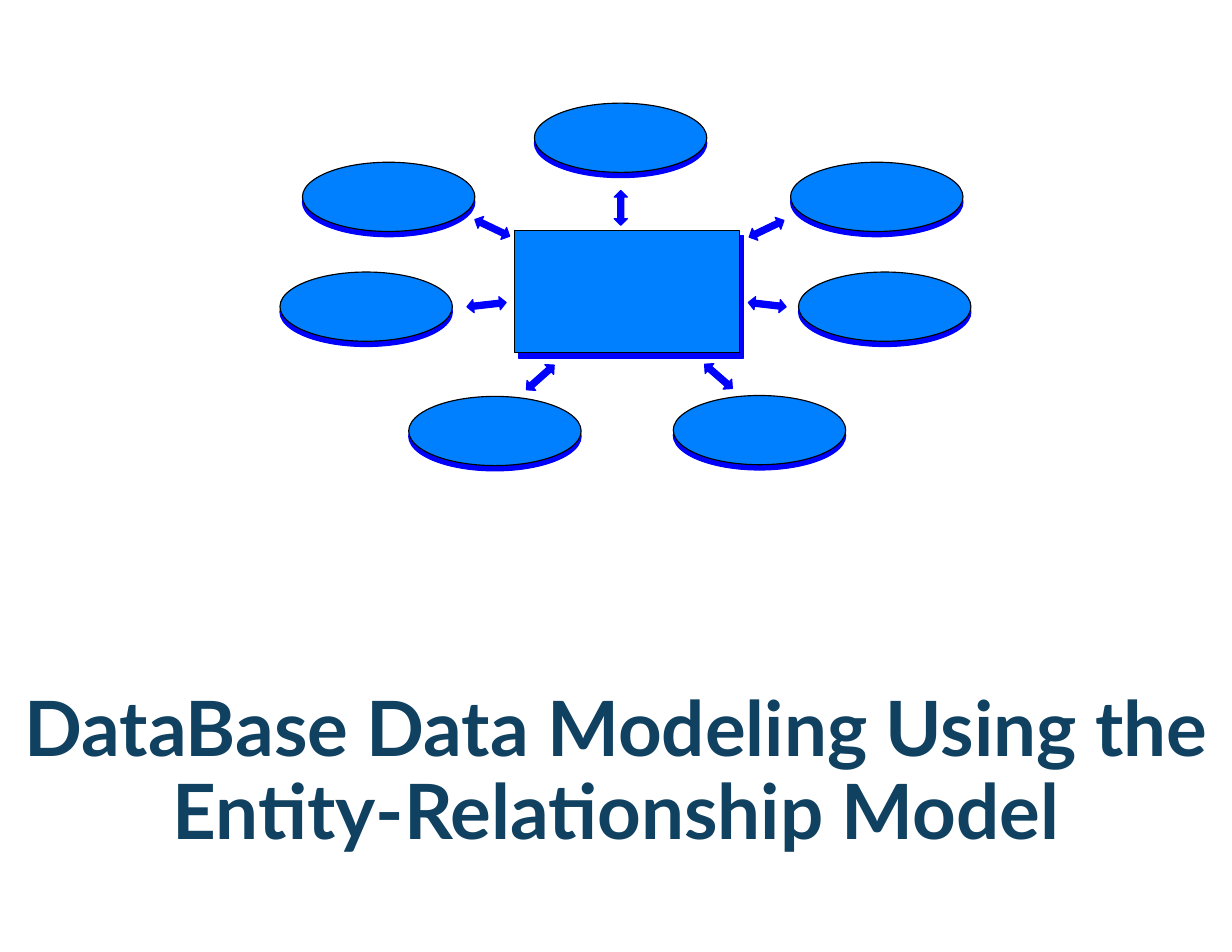
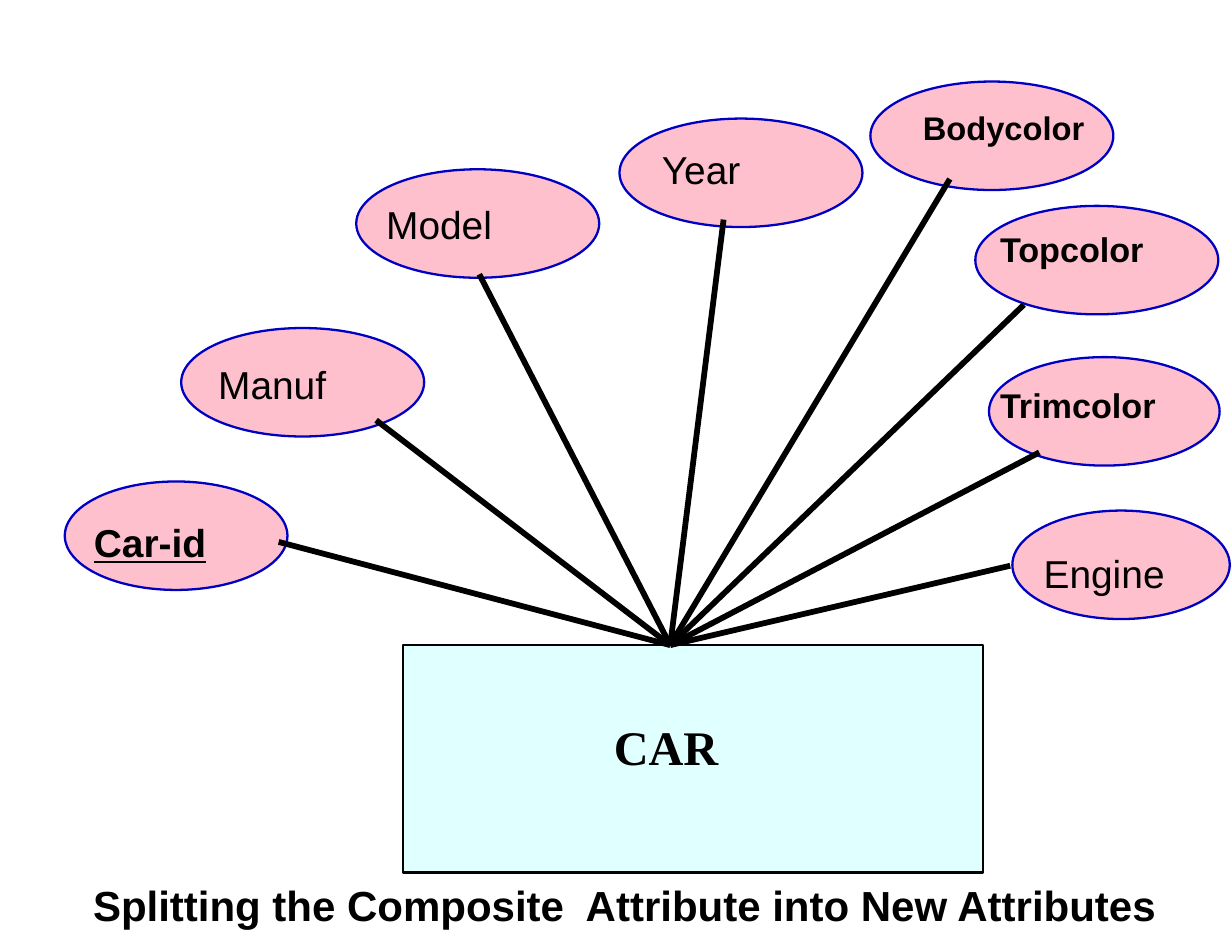
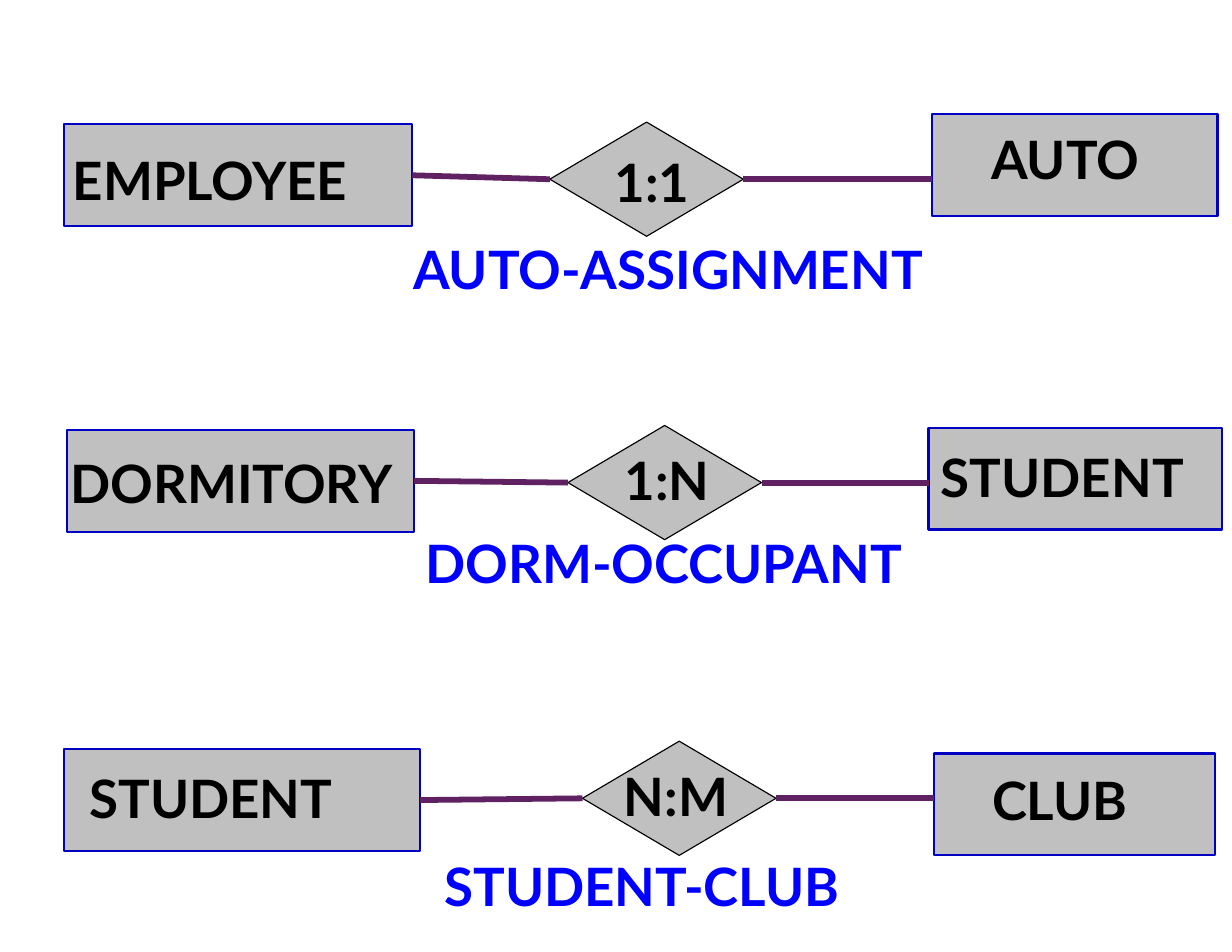
from dataclasses import dataclass
from math import hypot

from lxml.etree import SubElement
from pptx import Presentation
from pptx.dml.color import RGBColor as RGB
from pptx.enum.shapes import MSO_CONNECTOR as LINK, MSO_SHAPE as SHAPE
from pptx.enum.text import MSO_ANCHOR as ANCHOR, MSO_AUTO_SIZE as FIT, PP_ALIGN as ALIGN
from pptx.oxml.ns import qn
from pptx.util import Cm, Pt


@dataclass(frozen=True)
class Theme:
    black: RGB = RGB.from_string("000000")
    heading: RGB = RGB.from_string("104160")
    blue: RGB = RGB.from_string("0000FF")
    sky: RGB = RGB.from_string("0080FF")
    pink: RGB = RGB.from_string("FFC0CE")
    ice: RGB = RGB.from_string("E0FFFF")
    grey: RGB = RGB.from_string("C0C0C0")
    navy: RGB = RGB.from_string("0000C2")
    plum: RGB = RGB.from_string("602162")
    hairline: float = 0.73
    outline: float = 1.46
    link: float = 3.71
    heading_size: int = 49
    entity_size: int = 31
    attribute_size: int = 25
    caption_size: int = 27
    relation_size: int = 34


theme = Theme()


def paint(part, line, weight, fill=None):
    """Colour a shape, or a connector when no fill is given."""
    part.line.color.rgb = line
    part.line.width = Pt(weight)
    if fill is None:
        SubElement(part._element.spPr, qn("a:effectLst"))
    else:
        part.shadow.inherit = False
        part.fill.solid()
        part.fill.fore_color.rgb = fill


def write(box, place, text, font, size, color=theme.black, bold=True,
          align=ALIGN.LEFT, anchor=ANCHOR.TOP):
    """Place a text box or placeholder and set its one paragraph."""
    box.left, box.top, box.width, box.height = map(Cm, place)
    frame = box.text_frame
    frame.word_wrap, frame.auto_size, frame.vertical_anchor = True, FIT.NONE, anchor
    frame.margin_left = frame.margin_top = frame.margin_right = frame.margin_bottom = 0
    paragraph = frame.paragraphs[0]
    paragraph.text, paragraph.alignment = text, align
    paragraph.font.name, paragraph.font.size = font, Pt(size)
    paragraph.font.bold, paragraph.font.color.rgb = bold, color
    return paragraph


deck = Presentation()
deck.slide_width, deck.slide_height = Cm(27.94), Cm(21.59)
title_only, blank = deck.slide_layouts[5], deck.slide_layouts[6]

# Slide 1: cover with an entity and its attributes
cover = deck.slides.add_slide(title_only)
heading = write(cover.shapes.title, (0, 12.27, 27.94, 7.14),
                "DataBase Data Modeling Using the Entity-Relationship Model",
                "Lato", theme.heading_size, theme.heading,
                align=ALIGN.CENTER, anchor=ANCHOR.BOTTOM)
heading.line_spacing = 0.9

# Double arrows, outlined as (distance from start, offset to the side)
HEAD, BARB, SHAFT = 0.15, 0.15, 0.07
for x1, y1, x2, y2 in [
    (14.08, 4.32, 14.08, 5.11),
    (17.78, 5.0, 16.99, 5.38),
    (17.83, 6.96, 16.97, 6.86),
    (10.59, 6.96, 11.48, 6.86),
    (11.94, 8.84, 12.57, 8.28),
    (16.61, 8.81, 15.98, 8.26),
    (10.77, 4.98, 11.56, 5.36),
]:
    length = hypot(x2 - x1, y2 - y1)
    ux, uy = (x2 - x1) / length, (y2 - y1) / length
    upper = [(HEAD, BARB), (HEAD, SHAFT), (length - HEAD, SHAFT), (length - HEAD, BARB)]
    lower = [(along, -side) for along, side in reversed(upper)]
    outline = [(Cm(x1 + along * ux - side * uy), Cm(y1 + along * uy + side * ux))
               for along, side in [(0, 0), *upper, (length, 0), *lower]]
    builder = cover.shapes.build_freeform(*outline[0])
    builder.add_line_segments(outline[1:], close=True)
    paint(builder.convert_to_shape(), theme.blue, theme.hairline, theme.blue)

# Entity and attributes, each over its blue shade
ovals = [(6.86, 3.68), (12.12, 2.34), (6.35, 6.17), (9.27, 8.99),
         (17.93, 3.68), (18.11, 6.17), (15.27, 8.97)]
symbols = [(SHAPE.RECTANGLE, 11.66, 5.23, 5.11, 2.77, 0.1)]
symbols += [(SHAPE.OVAL, x, y, 3.91, 1.57, 0) for x, y in ovals]
for kind, x, y, width, height, shift in symbols:
    shade = cover.shapes.add_shape(kind, Cm(x + shift), Cm(y + 0.12), Cm(width), Cm(height))
    paint(shade, theme.blue, theme.hairline, theme.blue)
    face = cover.shapes.add_shape(kind, Cm(x), Cm(y), Cm(width), Cm(height))
    paint(face, theme.black, theme.hairline, theme.sky)

# Slide 2: CAR and its attributes
car_slide = deck.slides.add_slide(title_only)
write(car_slide.shapes.title, (2.11, 19.94, 25.5, 1.57),
      "Splitting the Composite  Attribute into New Attributes",
      "Arial", theme.caption_size)
car = car_slide.shapes.add_shape(SHAPE.RECTANGLE, Cm(9.14), Cm(14.63), Cm(13.16), Cm(5.16))
paint(car, theme.black, theme.outline, theme.ice)
write(car_slide.shapes.add_textbox(0, 0, 0, 0), (13.92, 16.26, 4.65, 2.41),
      "CAR", "Times New Roman", theme.entity_size)

# Name, size, bold, oval (x, y, width), label (x, y, width), line end
hub = Cm(15.2), Cm(14.63)
plain = theme.attribute_size
for name, size, bold, (x, y, width), (label_x, label_y, label_width), end in [
    ("Car-id", plain, True, (1.47, 10.92, 5.05), (2.13, 11.76, 4.04), (6.32, 12.29)),
    ("Manuf", plain, False, (4.11, 7.44, 5.51), (4.95, 8.18, 4.65), (8.53, 9.53)),
    ("Model", plain, False, (8.08, 3.84, 5.51), (8.76, 4.55, 4.47), (10.87, 6.22)),
    ("Year", plain, False, (14.05, 2.69, 5.51), (15.01, 3.3, 3.15), (16.41, 4.98)),
    ("Engine", plain, False, (22.96, 11.58, 4.93), (23.67, 12.47, 4.2), (22.91, 12.83)),
    ("Bodycolor", 21, True, (19.74, 1.85, 5.51), (20.93, 2.44, 6.65), (21.54, 4.06)),
    ("Topcolor", 22, True, (22.12, 4.67, 5.51), (22.68, 5.18, 5.2), (23.22, 6.91)),
    ("Trimcolor", 22, True, (22.43, 8.1, 5.23), (22.68, 8.71, 5.2), (23.57, 10.26)),
]:
    attribute = car_slide.shapes.add_shape(SHAPE.OVAL, Cm(x), Cm(y), Cm(width), Cm(2.46))
    paint(attribute, theme.navy, theme.outline, theme.pink)
    label = write(car_slide.shapes.add_textbox(0, 0, 0, 0),
                  (label_x, label_y, label_width, 1.3), name, "Arial", size, bold=bold)
    if name == "Car-id":
        label.font.underline = True
    spoke = car_slide.shapes.add_connector(LINK.STRAIGHT, *hub, *map(Cm, end))
    paint(spoke, theme.black, theme.link)

# Slide 3: relationship cardinalities
relations = deck.slides.add_slide(blank)

# Each row: entity boxes (x, y, width), diamond (x, y), labels (text, x, y, width)
for left_box, diamond_at, right_box, labels, relation in [
    ((1.45, 2.82, 7.9), (12.47, 2.77), (21.13, 2.59, 6.48),
     [("EMPLOYEE", 1.65, 3.35, 8.08), ("1:1", 13.94, 3.4, 2.77), ("AUTO", 22.48, 2.87, 4.95)],
     ("AUTO-ASSIGNMENT", 9.37, 5.36, 13.16)),
    ((1.52, 9.75, 7.87), (12.88, 9.65), (21.06, 9.7, 6.65),
     [("DORMITORY", 1.6, 10.21, 7.98), ("1:N", 14.17, 10.16, 3.15), ("STUDENT", 21.34, 10.08, 6.5)],
     ("DORM-OCCUPANT", 9.65, 12.04, 12.01)),
    ((1.45, 16.99, 8.08), (13.21, 16.81), (21.18, 17.09, 6.38),
     [("STUDENT", 2.03, 17.37, 7.09), ("N:M", 14.15, 17.32, 3.07), ("CLUB", 22.5, 17.42, 5.44)],
     ("STUDENT-CLUB", 10.08, 19.35, 11.73)),
]:
    entities = []
    for x, y, width in (left_box, right_box):
        entity = relations.shapes.add_shape(SHAPE.RECTANGLE, Cm(x), Cm(y), Cm(width), Cm(2.31))
        paint(entity, theme.navy, theme.outline, theme.grey)
        entities.append(entity)
    diamond = relations.shapes.add_shape(SHAPE.DIAMOND, *map(Cm, diamond_at), Cm(4.39), Cm(2.59))
    paint(diamond, theme.black, theme.hairline, theme.grey)

    # The right-hand line runs level from the diamond to the entity's edge
    owner, member = entities
    middle = diamond.top + diamond.height // 2
    for side, end_x in ((1, owner.left + owner.width), (3, member.left)):
        link = relations.shapes.add_connector(LINK.STRAIGHT, diamond.left, middle, end_x, middle)
        link.begin_connect(diamond, side)
        if side == 1:
            link.end_connect(owner, 3)
        paint(link, theme.plum, theme.link)

    for color, (text, x, y, width) in [*((theme.black, label) for label in labels),
                                       (theme.blue, relation)]:
        write(relations.shapes.add_textbox(0, 0, 0, 0), (x, y, width, 1.55),
              text, "Lato", theme.relation_size, color)

deck.save("out.pptx")
